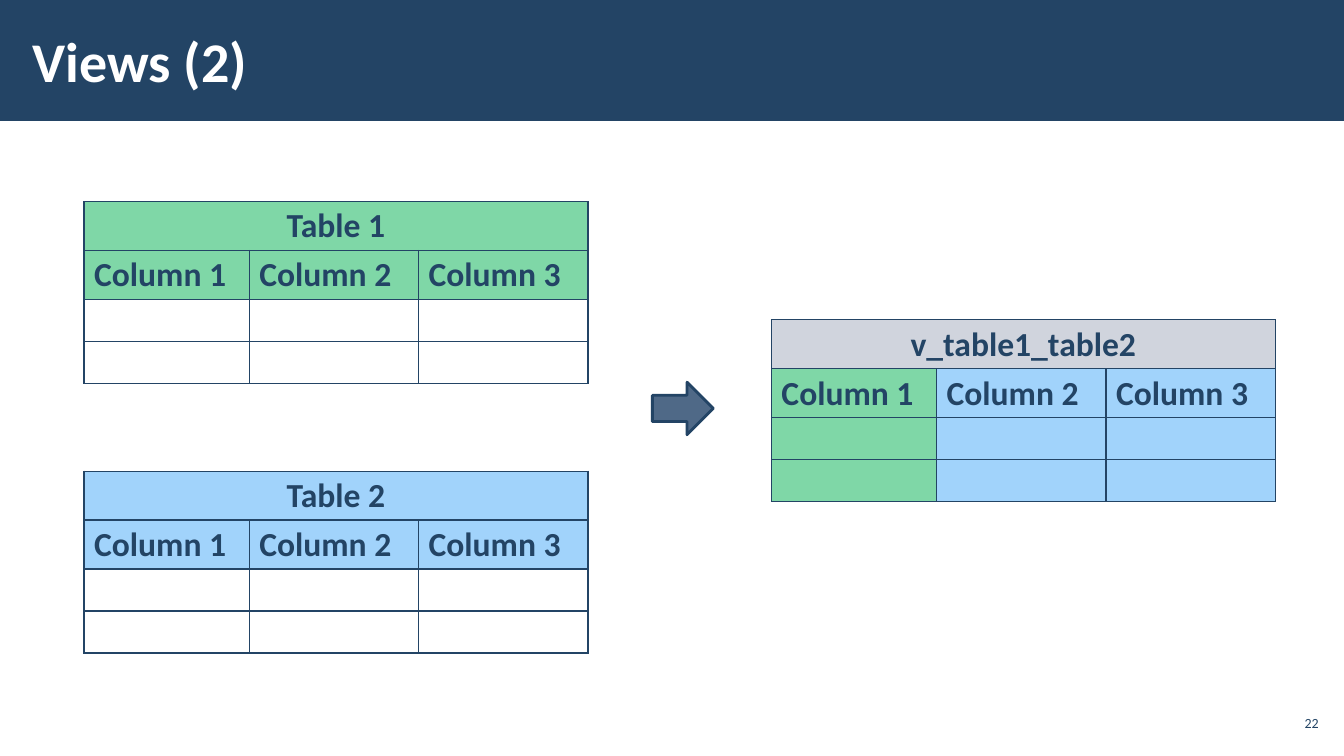
from dataclasses import dataclass

from lxml.etree import SubElement
from pptx import Presentation
from pptx.dml.color import RGBColor
from pptx.enum.shapes import MSO_SHAPE as Preset
from pptx.enum.text import MSO_ANCHOR as Anchor, PP_ALIGN as Align
from pptx.oxml.ns import qn
from pptx.shapes.autoshape import Shape
from pptx.slide import Slide
from pptx.table import _Cell as Cell
from pptx.util import Pt

NAVY = RGBColor(0x23, 0x44, 0x65)
SLATE = RGBColor(0x4F, 0x69, 0x87)
WHITE = RGBColor(0xFF, 0xFF, 0xFF)
GREEN = RGBColor(0x00, 0xB0, 0x50)
BLUE = RGBColor(0x44, 0xA9, 0xF8)
GRAY = RGBColor(0xA3, 0xAB, 0xBC)

FONT = "Calibri"
COLUMN_WIDTHS = (118, 121, 121)
ROW_HEIGHTS = (35, 35, 30, 30)
HEADER_ROWS = 2


@dataclass(frozen=True)
class TableDiagram:
    name: str
    left: float
    top: float
    name_color: RGBColor
    column_colors: tuple[RGBColor, ...]
    body_filled: bool = False


DIAGRAMS = (
    TableDiagram("Table 2", 60, 336.5, BLUE, (BLUE, BLUE, BLUE)),
    TableDiagram("Table 1", 60, 144, GREEN, (GREEN, GREEN, GREEN)),
    TableDiagram("v_table1_table2", 551, 228.5, GRAY, (GREEN, BLUE, BLUE), True),
)


def write(target: Shape | Cell, text: str, size: float, color: RGBColor,
          bold: bool, align: Align) -> None:
    para = target.text_frame.paragraphs[0]
    para.text = text
    para.alignment = align
    for span in para.runs:
        span.font.name = FONT
        span.font.size = Pt(size)
        span.font.bold = bold
        span.font.color.rgb = color


def set_insets(box: Shape, horizontal: float, vertical: float) -> None:
    frame = box.text_frame
    frame.word_wrap = True
    frame.vertical_anchor = Anchor.MIDDLE
    frame.margin_left = frame.margin_right = Pt(horizontal)
    frame.margin_top = frame.margin_bottom = Pt(vertical)


def add_solid_fill(parent, color: RGBColor, opacity: int = 100) -> None:
    """Append a solid fill to an XML element, opacity in percent."""
    fill = SubElement(parent, qn("a:solidFill"))
    rgb = SubElement(fill, qn("a:srgbClr"), val=str(color))
    if opacity < 100:
        SubElement(rgb, qn("a:alpha"), val=str(opacity * 1000))


def style_cell(cell: Cell, color: RGBColor | None) -> None:
    """Draw the navy grid and, if a color is given, a half transparent fill."""
    properties = cell._tc.get_or_add_tcPr()
    for side in ("a:lnL", "a:lnR", "a:lnT", "a:lnB"):
        add_solid_fill(SubElement(properties, qn(side), w=str(Pt(1))), NAVY)
    if color is None:
        cell.fill.background()
    else:
        add_solid_fill(properties, color, 50)


def add_diagram(page: Slide, diagram: TableDiagram) -> None:
    frame = page.shapes.add_table(
        len(ROW_HEIGHTS), len(COLUMN_WIDTHS), Pt(diagram.left), Pt(diagram.top),
        Pt(sum(COLUMN_WIDTHS)), Pt(sum(ROW_HEIGHTS)))
    table = frame.table
    table.first_row = table.horz_banding = False
    for column, width in zip(table.columns, COLUMN_WIDTHS):
        column.width = Pt(width)
    for row, height in zip(table.rows, ROW_HEIGHTS):
        row.height = Pt(height)

    for row in range(len(ROW_HEIGHTS)):
        for column, column_color in enumerate(diagram.column_colors):
            filled = row < HEADER_ROWS or diagram.body_filled
            color = diagram.name_color if row == 0 else column_color
            style_cell(table.cell(row, column), color if filled else None)

    name_cell = table.cell(0, 0)
    name_cell.merge(table.cell(0, len(COLUMN_WIDTHS) - 1))
    write(name_cell, diagram.name, 24, NAVY, True, Align.CENTER)
    name_cell.text_frame.paragraphs[0].line_spacing = 0.95
    for column in range(len(COLUMN_WIDTHS)):
        cell = table.cell(1, column)
        write(cell, f"Column {column + 1}", 24, NAVY, True, Align.LEFT)
        cell.text_frame.paragraphs[0].line_spacing = 0.95


def add_header(page: Slide) -> None:
    title = page.shapes.title
    title.left, title.top, title.width, title.height = Pt(15), Pt(8), Pt(748), Pt(70)
    set_insets(title, 8.5, 3)
    write(title, "Views (2)", 40, WHITE, True, Align.LEFT)

    banner = page.shapes.add_shape(Preset.RECTANGLE, 0, 0, Pt(960), Pt(86.4))
    banner.shadow.inherit = False
    banner.fill.solid()
    banner.fill.fore_color.rgb = NAVY
    banner.line.fill.background()
    title.element.addprevious(banner.element)


def add_page_number(page: Slide) -> None:
    box = page.shapes.add_textbox(Pt(911), Pt(504), Pt(34), Pt(24.5))
    set_insets(box, 3, 3)
    write(box, "22", 10, NAVY, False, Align.RIGHT)


def add_arrow(page: Slide) -> None:
    arrow = page.shapes.add_shape(Preset.RIGHT_ARROW, Pt(466), Pt(273), Pt(43.5), Pt(37.5))
    arrow.shadow.inherit = False
    arrow.fill.solid()
    arrow.fill.fore_color.rgb = SLATE
    arrow.line.color.rgb = NAVY
    arrow.line.width = Pt(2)


def main() -> None:
    deck = Presentation()
    deck.slide_width, deck.slide_height = Pt(960), Pt(540)
    page = deck.slides.add_slide(deck.slide_layouts.get_by_name("Title Only"))
    add_header(page)
    add_page_number(page)
    for diagram in DIAGRAMS:
        add_diagram(page, diagram)
    add_arrow(page)
    deck.save("out.pptx")


if __name__ == "__main__":
    main()
